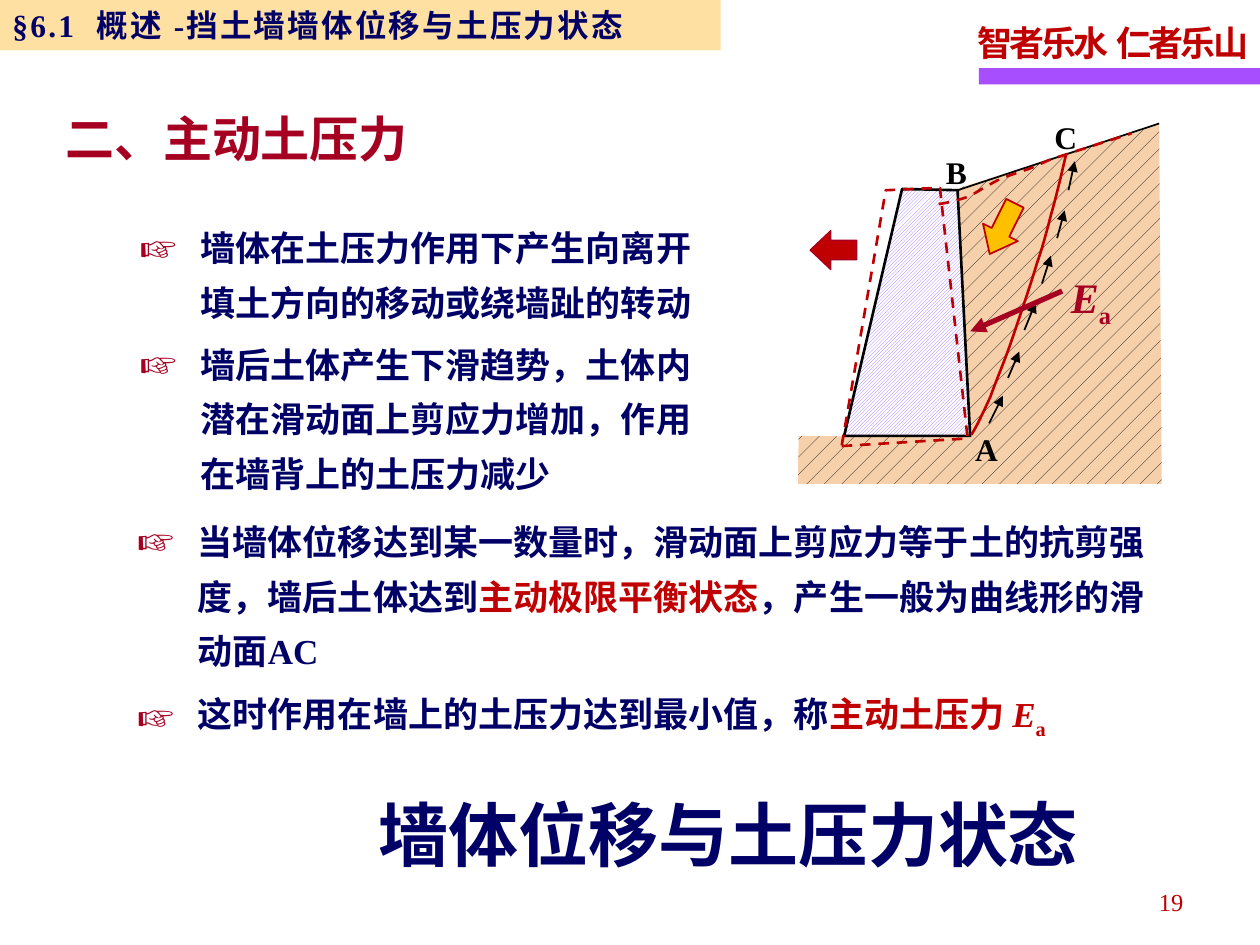
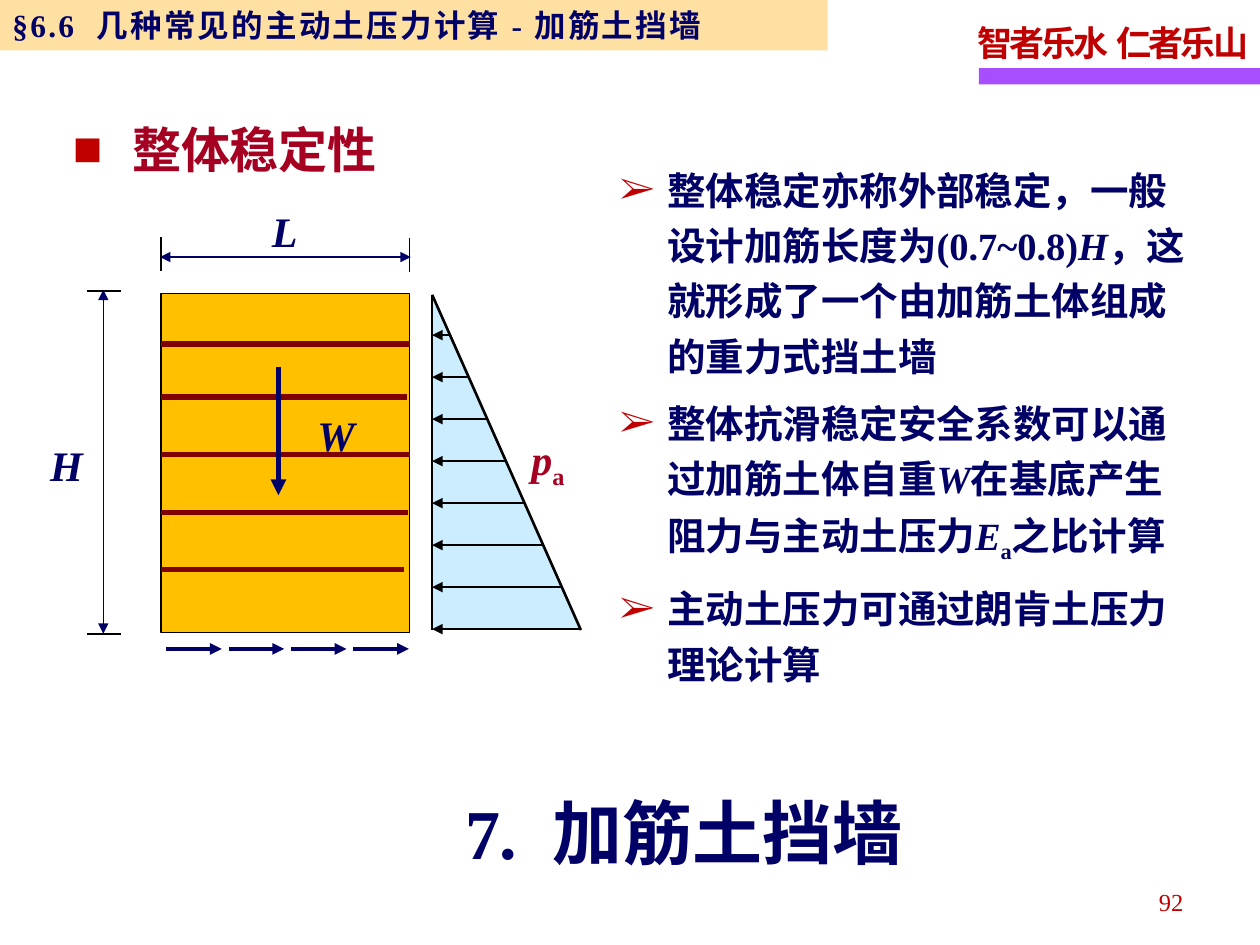
from lxml import etree
from pptx import Presentation
from pptx.dml.color import RGBColor
from pptx.enum.dml import MSO_LINE, MSO_PATTERN
from pptx.enum.shapes import MSO_CONNECTOR, MSO_SHAPE
from pptx.enum.text import MSO_ANCHOR, MSO_AUTO_SIZE, PP_ALIGN
from pptx.oxml.ns import qn
from pptx.util import Inches, Pt

COLORS = {
    "navy": "000066", "red": "C00000", "crimson": "A50021", "maroon": "800000",
    "black": "000000", "white": "FFFFFF", "purple": "A74FFF", "band": "FFCC66",
    "gold": "FFC000", "soil": "F5D0AB", "wall": "9966FF", "pressure": "CCECFF",
}
SERIF, SANS = "Times New Roman", "Noto Sans CJK SC"

# A run is a string or (string, format)
SYMBOL = {"italic": True}
SUB = {"base": -25}
RED = {"color": "red"}
RED_SANS = {"color": "red", "font": SANS}
MOTTO = ["智者乐水", (" ", {"spacing": 0}), "仁者乐山"]
WIDE = (" ", {"spacing": 7})

ACTIVE = {
    "band": (5.72, ["§6.1", WIDE, "概述 -挡土墙墙体位移与土压力状态"]),
    "page": "19",
    "title": ((2.02, 6.23, 7.52, 0.77), ["墙体位移与土压力状态"], SANS),
    "heading": "二、主动土压力",
    "lists": [
        ((1.11, 1.7, 4.59, 2.24), [
            ["墙体在土压力作用下产生向离开填土方向的移动或绕墙趾的转动"],
            ["墙后土体产生下滑趋势，土体内潜在滑动面上剪应力增加，作用在墙背上的土压力减少"],
        ]),
        ((1.09, 4.03, 8.16, 1.81), [
            ["当墙体位移达到某一数量时，滑动面上剪应力等于土的抗剪强度，墙后土体达到",
             ("主动极限平衡状态", RED_SANS), "，产生一般为曲线形的滑动面AC"],
            ["这时作用在墙上的土压力达到最小值，称", ("主动土压力 ", RED),
             ("E", RED | SYMBOL), ("a", RED | SUB)],
        ]),
    ],
}
REINFORCED = {
    "band": (6.57, ["§6.6", WIDE, "几种常见的主动土压力计算 - 加筋土挡墙"]),
    "page": "92",
    "title": ((1.89, 6.22, 7.07, 0.77), ["7.", (" ", {"spacing": 10}), "加筋土挡墙"], SERIF),
    "heading": "整体稳定性",
    "points": [
        ["整体稳定亦称外部稳定，一般设计加筋长度为(0.7~0.8)", ("H", SYMBOL),
         "，这就形成了一个由加筋土体组成的重力式挡土墙"],
        ["整体抗滑稳定安全系数可以通过加筋土体自重", ("W", SYMBOL),
         "在基底产生阻力与主动土压力", ("E", SYMBOL), ("a", SUB), "之比计算"],
        ["主动土压力可通过朗肯土压力理论计算"],
    ],
}

# Wall section on the first slide
SOIL = [(6.34, 3.46), (7.57, 3.47), (7.59, 1.5), (9.2, 0.99), (9.22, 3.84), (6.33, 3.84)]
WALL = [(6.7, 3.46), (7.7, 3.46), (7.6, 1.51), (7.16, 1.5)]
MOVED_WALL = [(6.68, 3.54), (7.68, 3.48), (7.46, 1.49), (7.03, 1.51)]
SLIP_CURVE = [(7.71, 3.45), (7.76, 3.37), (7.8, 3.28), (7.86, 3.15), (7.91, 3.01),
              (7.98, 2.85), (8.04, 2.67), (8.1, 2.49), (8.18, 2.26), (8.23, 2.09),
              (8.29, 1.92), (8.32, 1.78), (8.36, 1.64), (8.4, 1.49), (8.43, 1.36),
              (8.46, 1.23)]
SETTLED_SURFACE = [(7.45, 1.62), (7.53, 1.61), (7.6, 1.59), (7.66, 1.57), (7.72, 1.55),
                   (7.81, 1.49), (7.81, 1.49), (7.87, 1.46), (7.91, 1.43), (7.97, 1.41),
                   (8.04, 1.38), (8.15, 1.35), (8.22, 1.32), (8.29, 1.29), (8.29, 1.28),
                   (8.42, 1.24), (8.54, 1.2), (8.76, 1.13), (8.98, 1.06)]
SHEAR_ARROWS = [((7.85, 3.36), (7.96, 3.14)), ((8, 3), (8.09, 2.79)),
                ((8.13, 2.62), (8.22, 2.4)), ((8.27, 2.25), (8.34, 2.03)),
                ((8.39, 1.89), (8.45, 1.67)), ((8.48, 1.51), (8.53, 1.28))]
CORNERS = {"A": (7.64, 3.32), "B": (7.41, 1.12), "C": (8.27, 0.84)}

# Reinforced block on the second slide: strip height and right end
STRIPS = [(2.73, 3.25), (3.15, 3.23), (3.61, 3.25), (4.07, 3.24), (4.52, 3.21)]
DIMENSIONS = [((0.82, 2.3), (0.82, 5.03)), ((1.27, 2.04), (3.26, 2.04))]
DIMENSION_TICKS = [((0.69, 2.31), (0.96, 2.31)), ((0.69, 5.03), (0.96, 5.03)),
                   ((1.28, 2.15), (1.28, 1.88)), ((3.25, 2.16), (3.25, 1.89))]
BLOCK_LABELS = {"H": (0.3, 3.38), "W": (2.42, 3.14), "L": (2.06, 1.52)}
TRIANGLE_TOP, TRIANGLE_BASE, TRIANGLE_LEFT, TRIANGLE_RIGHT = 2.34, 5.0, 3.43, 4.61


def rgb(name):
    return RGBColor.from_string(COLORS[name])


def sub(parent, tag, **attributes):
    return etree.SubElement(parent, qn(tag), {k: str(v) for k, v in attributes.items()})


def add_bullet(paragraph, char, color, hanging, percent=100):
    props = paragraph._p.get_or_add_pPr()
    props.set("marL", str(Inches(hanging)))
    props.set("indent", str(-Inches(hanging)))
    sub(sub(props, "a:buClr"), "a:srgbClr", val=COLORS[color])
    sub(props, "a:buSzPct", val=percent * 1000)
    sub(props, "a:buFont", typeface=SERIF)
    sub(props, "a:buChar", char=char)


def add_run(paragraph, text, size, color="navy", font=SERIF, bold=True, italic=False,
            spacing=None, base=None):
    run = paragraph.add_run()
    run.text = text
    run.font.size, run.font.bold, run.font.italic = Pt(size), bold, italic
    run.font.name = font
    run.font.color.rgb = rgb(color)
    props = run._r.get_or_add_rPr()
    sub(props, "a:ea", typeface=SANS)
    if spacing is not None:
        props.set("spc", str(round(spacing * 100)))
    if base:
        props.set("baseline", str(base * 1000))


def write(frame, paragraphs, align=PP_ALIGN.LEFT, anchor=MSO_ANCHOR.TOP, wrap=True,
          inset=None, line=1.0, before=0, after=0, bullet=None, **run_format):
    """Fill a text frame; each paragraph is a list of runs."""
    frame.word_wrap, frame.vertical_anchor = wrap, anchor
    if not wrap:
        frame.auto_size = MSO_AUTO_SIZE.SHAPE_TO_FIT_TEXT
    if inset is not None:
        frame.margin_left = frame.margin_right = Inches(inset)
        frame.margin_top = frame.margin_bottom = Inches(inset)
    for i, runs in enumerate(paragraphs):
        paragraph = frame.add_paragraph() if i else frame.paragraphs[0]
        paragraph.alignment, paragraph.line_spacing = align, line
        paragraph.space_before = Pt(before if i else 0)
        paragraph.space_after = Pt(after)
        if bullet:
            add_bullet(paragraph, **bullet)
        for run in runs:
            text, changes = (run, {}) if isinstance(run, str) else run
            add_run(paragraph, text, **(run_format | changes))


def add_text(slide, box, paragraphs, **text_format):
    write(slide.shapes.add_textbox(*map(Inches, box)).text_frame, paragraphs, **text_format)


def add_symbol(slide, at, runs, **text_format):
    add_text(slide, (*at, 0.6, 0.53), [runs], **({"size": 24, "line": 1.15} | text_format))


def paint(shape, fill=None, line=None, width=1.0, dash=False, pattern=None):
    shape.shadow.inherit = False
    if pattern:
        shape.fill.patterned()
        shape.fill.pattern = pattern[0]
        shape.fill.fore_color.rgb, shape.fill.back_color.rgb = rgb(pattern[1]), rgb(pattern[2])
    elif fill:
        shape.fill.solid()
        shape.fill.fore_color.rgb = rgb(fill)
    else:
        shape.fill.background()
    if line:
        shape.line.color.rgb, shape.line.width = rgb(line), Pt(width)
        if dash:
            shape.line.dash_style = MSO_LINE.DASH
    else:
        shape.line.fill.background()


def add_shape(slide, kind, box, adjust=(), rotation=0, **look):
    shape = slide.shapes.add_shape(kind, *map(Inches, box))
    for i, value in enumerate(adjust):
        shape.adjustments[i] = value
    shape.rotation = rotation
    paint(shape, **look)
    return shape


def add_outline(slide, points, close=True, **look):
    start, *rest = [(Inches(x), Inches(y)) for x, y in points]
    builder = slide.shapes.build_freeform(*start)
    builder.add_line_segments(rest, close=close)
    paint(builder.convert_to_shape(), **look)


def sample_curve(points, steps=8):
    """Points along a chain of cubic Bezier pieces."""
    curve = [points[0]]
    for i in range(0, len(points) - 1, 3):
        for t in (step / steps for step in range(1, steps + 1)):
            weights = ((1 - t) ** 3, 3 * t * (1 - t) ** 2, 3 * t * t * (1 - t), t ** 3)
            curve.append(tuple(sum(w * p[axis] for w, p in zip(weights, points[i:i + 4]))
                               for axis in (0, 1)))
    return curve


def add_line(slide, start, end, color="black", width=1.0, ends=()):
    """Straight line; ends names the arrowheads, headEnd before tailEnd."""
    line = slide.shapes.add_connector(MSO_CONNECTOR.STRAIGHT, *map(Inches, (*start, *end)))
    line.line.color.rgb, line.line.width = rgb(color), Pt(width)
    for tag in ends:
        sub(line.line._get_or_add_ln(), f"a:{tag}", type="triangle")
    sub(line._element.spPr, "a:effectLst")


def add_frame(deck, content):
    """New slide with motto, section band, page number and title."""
    slide = deck.slides.add_slide(deck.slide_layouts[6])
    add_shape(slide, MSO_SHAPE.RECTANGLE, (7.77, 0.54, 2.23, 0.13), fill="purple")
    add_text(slide, (7.66, 0.07, 2.36, 0.49), [MOTTO], wrap=False, line=1.15,
             size=20, color="red", spacing=-1.7)
    width, section = content["band"]
    band = add_shape(slide, MSO_SHAPE.RECTANGLE, (0, 0, width, 0.4), fill="band")
    sub(band._element.spPr.find(f"{qn('a:solidFill')}/{qn('a:srgbClr')}"), "a:alpha", val=60000)
    write(band.text_frame, [section], anchor=MSO_ANCHOR.MIDDLE, size=18, spacing=1.3)
    add_text(slide, (7.16, 6.96, 2.33, 0.4), [[content["page"]]], align=PP_ALIGN.RIGHT,
             line=1.15, size=14, color="red", bold=False)
    box, title, font = content["title"]
    add_text(slide, box, [title], align=PP_ALIGN.CENTER, size=40, font=font)
    return slide


def build_active(deck):
    slide = add_frame(deck, ACTIVE)
    add_text(slide, (0.42, 0.81, 4.84, 0.57), [[ACTIVE["heading"]]],
             size=28, color="crimson", font=SANS)
    hand = {"char": "☞", "color": "crimson", "hanging": 0.48, "percent": 130}
    for box, points in ACTIVE["lists"]:
        add_text(slide, box, points, inset=0, line=1.3, after=4, bullet=hand, size=20)

    add_outline(slide, SOIL, pattern=(MSO_PATTERN.PERCENT_5, "black", "soil"))
    add_outline(slide, WALL, line="black", width=1.5,
                pattern=(MSO_PATTERN.DARK_UPWARD_DIAGONAL, "wall", "white"))
    add_outline(slide, MOVED_WALL, line="red", width=1.5, dash=True)
    add_line(slide, (7.6, 1.51), (9.2, 0.98))
    for start, end in SHEAR_ARROWS:
        add_line(slide, start, end, ends=["tailEnd"])
    for curve, dash in ((SLIP_CURVE, False), (SETTLED_SURFACE, True)):
        add_outline(slide, sample_curve(curve), close=False, line="red", width=1.5, dash=dash)
    for corner, at in CORNERS.items():
        add_symbol(slide, at, [corner], size=18, color="black")
    add_line(slide, (8.43, 2.31), (7.7, 2.63), "crimson", 3, ["tailEnd"])
    add_symbol(slide, (8.4, 2.04), [("E", SYMBOL), ("a", SUB)], color="crimson")
    add_shape(slide, MSO_SHAPE.RIGHT_ARROW, (7.73, 1.66, 0.45, 0.31), (0.5, 0.62), 116.5,
              fill="gold", line="red")
    add_shape(slide, MSO_SHAPE.LEFT_ARROW, (6.43, 1.83, 0.37, 0.31), (0.5, 0.53),
              fill="red", line="crimson", width=0.75)


def build_reinforced(deck):
    slide = add_frame(deck, REINFORCED)
    add_text(slide, (0.48, 0.72, 4.05, 0.69), [[REINFORCED["heading"]]], line=1.5,
             anchor=MSO_ANCHOR.MIDDLE, size=28, color="crimson", font=SANS,
             bullet={"char": "■", "color": "red", "hanging": 0.47})
    add_text(slide, (4.82, 1.2, 4.76, 4.32), REINFORCED["points"], line=1.2, before=3.3,
             after=3.3, size=22, bullet={"char": "➢", "color": "red", "hanging": 0.38})

    add_shape(slide, MSO_SHAPE.RECTANGLE, (1.28, 2.33, 1.97, 2.69), fill="gold", line="black")
    for y, right in STRIPS:
        add_line(slide, (1.28, y), (right, y), "maroon", 3)
    for start, end in DIMENSIONS:
        add_line(slide, start, end, "navy", 0.75, ["headEnd", "tailEnd"])
    for start, end in DIMENSION_TICKS:
        add_line(slide, start, end)
    add_line(slide, (2.21, 2.91), (2.21, 3.93), "navy", 3, ["tailEnd"])
    for i in range(4):
        left = 1.32 + 0.495 * i
        add_line(slide, (left, 5.15), (left + 0.44, 5.15), "navy", 2.25, ["tailEnd"])
    for label, at in BLOCK_LABELS.items():
        add_symbol(slide, at, [(label, SYMBOL)])

    add_shape(slide, MSO_SHAPE.RIGHT_TRIANGLE, (3.42, 2.33, 1.18, 2.67), fill="pressure")
    slope = (TRIANGLE_RIGHT - TRIANGLE_LEFT) / (TRIANGLE_BASE - TRIANGLE_TOP)
    for i in range(8):
        y = 2.66 + i / 3
        add_line(slide, (TRIANGLE_LEFT + slope * (y - TRIANGLE_TOP), y), (TRIANGLE_LEFT, y),
                 width=1.5 if i == 7 else 1, ends=["tailEnd"])
    for foot in (TRIANGLE_LEFT, TRIANGLE_RIGHT):
        add_line(slide, (TRIANGLE_LEFT, TRIANGLE_TOP), (foot, TRIANGLE_BASE), width=1.5)
    add_symbol(slide, (4.12, 3.32), [("p", SYMBOL), ("a", SUB)], color="crimson")


def main():
    deck = Presentation()
    deck.slide_width, deck.slide_height = Inches(10), Inches(7.5)
    build_active(deck)
    build_reinforced(deck)
    deck.save("out.pptx")


if __name__ == "__main__":
    main()
